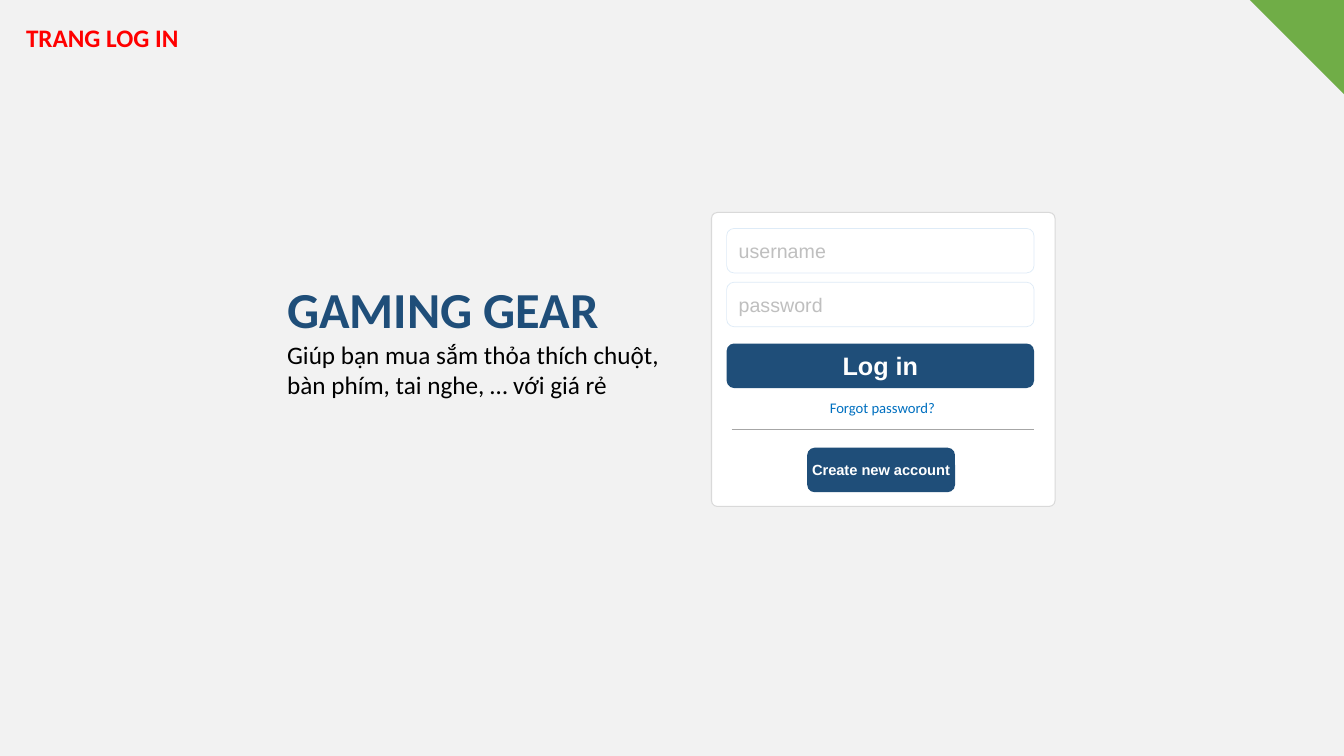
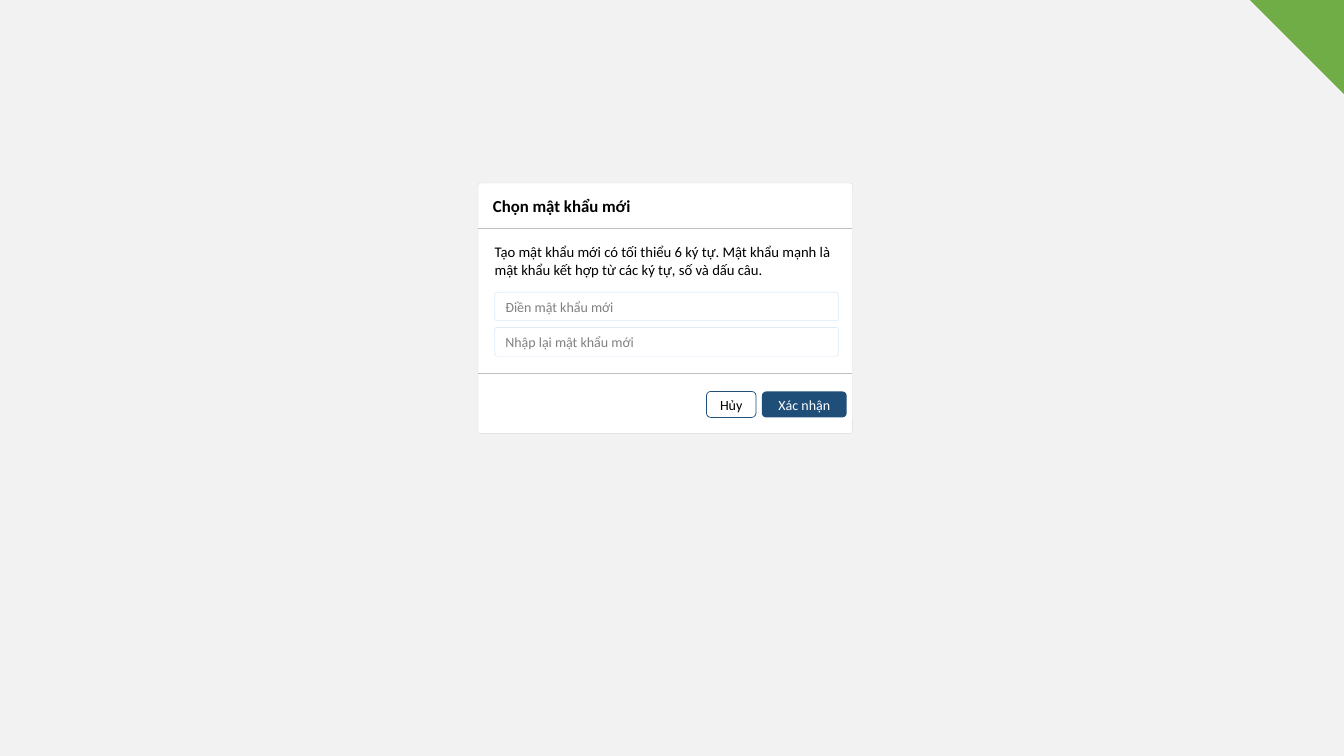
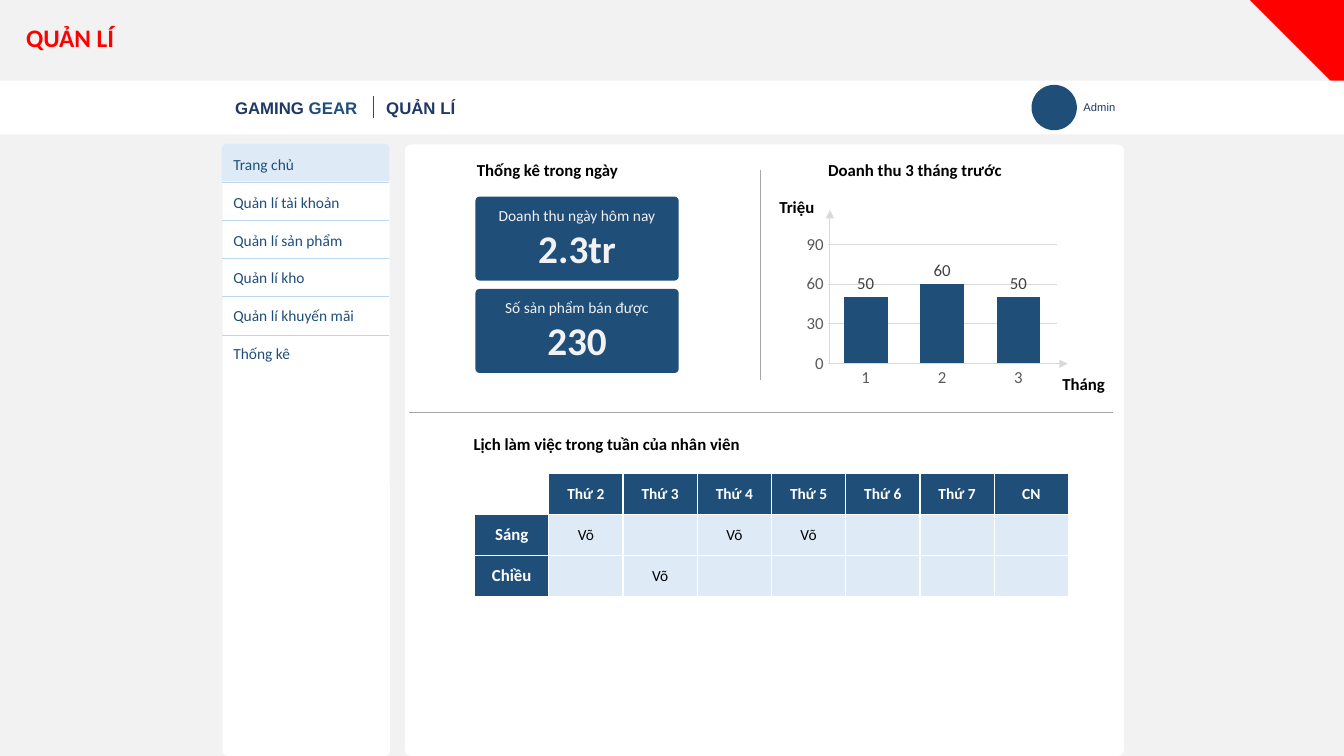
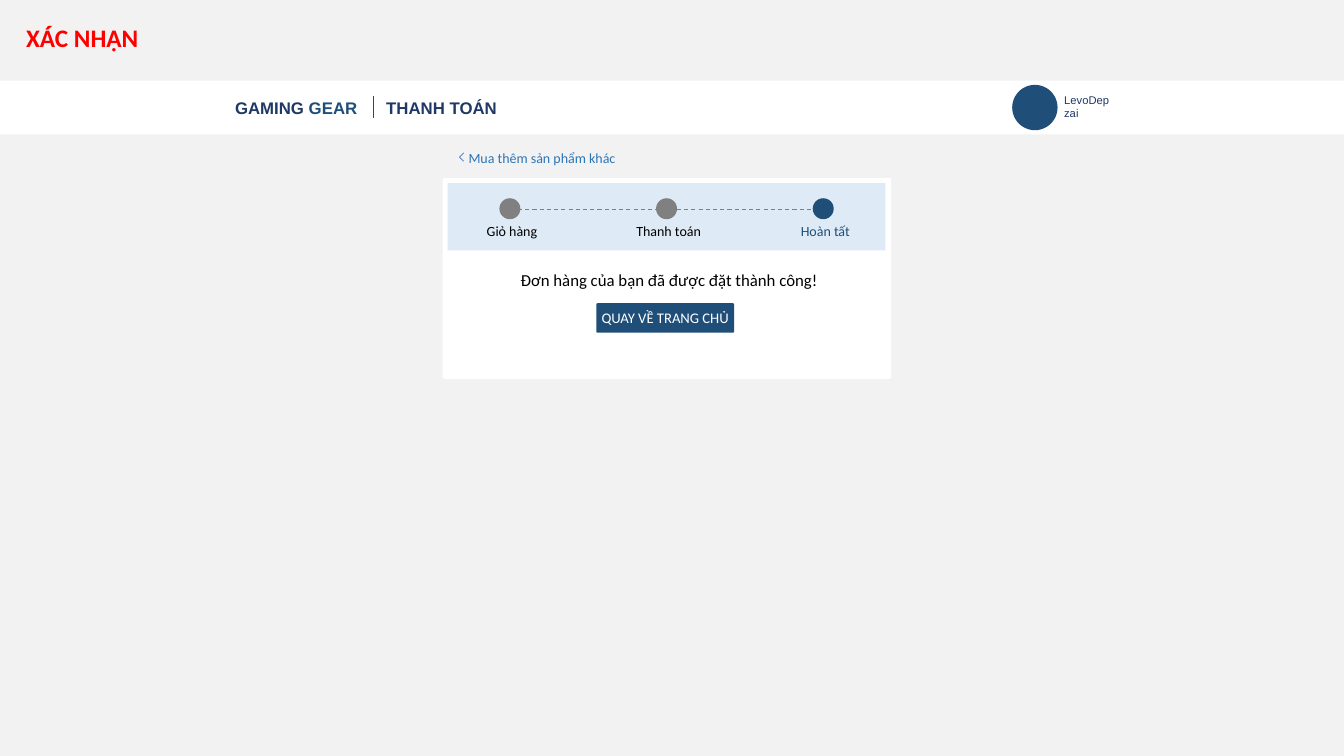
from lxml import etree
from pptx import Presentation, util as u
from pptx.chart.data import CategoryChartData
from pptx.dml.color import RGBColor
from pptx.enum import chart as ch, dml, shapes, text
from pptx.oxml import ns, parse_xml

NAVY = RGBColor(0x1F, 0x4E, 0x79)
INK = RGBColor(0x20, 0x38, 0x64)
PALE = RGBColor(0xDE, 0xEB, 0xF7)
SKY = RGBColor(0xBD, 0xD7, 0xEE)
LINK = RGBColor(0x00, 0x70, 0xC0)
BACK_LINK = RGBColor(0x2E, 0x75, 0xB6)
CHEVRON = RGBColor(0x44, 0x72, 0xC4)
GREEN = RGBColor(0x70, 0xAD, 0x47)
RED = RGBColor(0xFF, 0x00, 0x00)
BLACK = RGBColor(0x00, 0x00, 0x00)
WHITE = RGBColor(0xFF, 0xFF, 0xFF)
PAPER = RGBColor(0xF2, 0xF2, 0xF2)
GREY_D9 = RGBColor(0xD9, 0xD9, 0xD9)
GREY_BF = RGBColor(0xBF, 0xBF, 0xBF)
GREY_A6 = RGBColor(0xA6, 0xA6, 0xA6)
GREY_80 = RGBColor(0x80, 0x80, 0x80)
GREY_59 = RGBColor(0x59, 0x59, 0x59)
GREY_40 = RGBColor(0x40, 0x40, 0x40)

COLUMNS, ROWS = 160, 90
LEFT, CENTER = text.PP_ALIGN.LEFT, text.PP_ALIGN.CENTER
ROUND = shapes.MSO_SHAPE.ROUNDED_RECTANGLE
RECT = shapes.MSO_SHAPE.RECTANGLE
OVAL = shapes.MSO_SHAPE.OVAL


def style(font, size, color, bold=False, face="Calibri"):
    font.size, font.bold, font.name = u.Pt(size), bold, face
    font.color.rgb = color


class Deck:
    """Style and current slide; all lengths are cells of a 160 x 90 grid."""

    def __init__(self):
        self.prs = Presentation()
        self.prs.slide_width, self.prs.slide_height = u.Inches(13.33), u.Inches(7.5)
        fill = self.prs.slide_master.background.fill
        fill.solid()
        fill.fore_color.rgb = PAPER
        self.slide = None

    def grid(self, x, y, *size):
        """Turn alternating columns and rows into slide lengths."""
        units = (self.prs.slide_width / COLUMNS, self.prs.slide_height / ROWS)
        return [round(cells * units[i % 2]) for i, cells in enumerate((x, y, *size))]

    def new_slide(self, title=None, corner=None):
        self.slide = self.prs.slides.add_slide(self.prs.slide_layouts[5 if title else 6])
        if title:
            heading = self.slide.shapes.title
            heading.left, heading.top, heading.width, heading.height = self.grid(1.9, 2, 22, 4.8)
            self.fill_text(heading.text_frame, title, 18, RED, bold=True)
        if corner:
            self.shape(148.8, 0, 11.2, 11.2, corner, shapes.MSO_SHAPE.RIGHT_TRIANGLE).rotation = 180

    def fill_text(self, frame, words, size, color, bold=False, face="Calibri", align=LEFT):
        frame.text = words
        frame.word_wrap = True
        frame.auto_size = text.MSO_AUTO_SIZE.NONE
        frame.vertical_anchor = text.MSO_ANCHOR.MIDDLE
        for paragraph in frame.paragraphs:
            paragraph.alignment = align
            for run in paragraph.runs:
                style(run.font, size, color, bold, face)

    def text(self, x, y, w, h, words, size, color=BLACK, **look):
        box = self.slide.shapes.add_textbox(*self.grid(x, y, w, h))
        self.fill_text(box.text_frame, words, size, color, **look)
        return box.text_frame

    def shape(self, x, y, w, h, fill, kind=RECT, line=None, weight=0.5, radius=None):
        shape = self.slide.shapes.add_shape(kind, *self.grid(x, y, w, h))
        shape.shadow.inherit = False
        shape.fill.solid()
        shape.fill.fore_color.rgb = fill
        if line is None:
            shape.line.fill.background()
        else:
            shape.line.color.rgb, shape.line.width = line, u.Pt(weight)
        if radius is not None:
            shape.adjustments[0] = radius
        return shape

    def field(self, x, y, w, h, hint, size, color, face="Calibri", radius=None):
        box = self.shape(x, y, w, h, WHITE, ROUND, line=PALE, radius=radius)
        self.fill_text(box.text_frame, hint, size, color, face=face)

    def button(self, x, y, w, h, label, size, color=WHITE, fill=NAVY, radius=None, **look):
        box = self.shape(x, y, w, h, fill, ROUND, line=None if fill == NAVY else NAVY, radius=radius)
        box.text_frame.margin_left = box.text_frame.margin_right = 0
        self.fill_text(box.text_frame, label, size, color, align=CENTER, **look)
        return box.text_frame

    def metric(self, x, y, label, value):
        frame = self.button(x, y, 24.2, 10, f"{label}\n{value}", 11, PAPER, radius=0.05)
        style(frame.paragraphs[1].runs[0].font, 28, PAPER, True)

    def line(self, x1, y1, x2, y2, color, weight=0.5, dash=False, arrow=False):
        line = self.slide.shapes.add_connector(
            shapes.MSO_CONNECTOR.STRAIGHT, *self.grid(x1, y1, x2, y2))
        line.line.color.rgb, line.line.width = color, u.Pt(weight)
        if dash:
            line.line.dash_style = dml.MSO_LINE.DASH
        properties = line._element.spPr
        if arrow:
            etree.SubElement(properties.find(ns.qn("a:ln")), ns.qn("a:tailEnd"), type="triangle")
        etree.SubElement(properties, ns.qn("a:effectLst"))

    def app_bar(self, section, user, avatar_x):
        self.shape(0, 9.6, COLUMNS, 6.4, WHITE)
        brand = self.text(26.8, 11, 18, 3.6, "GAMING", 12, INK, bold=True, face="Arial")
        gear = brand.paragraphs[0].add_run()
        gear.text = " GEAR"
        style(gear.font, 12, NAVY, True, "Arial")
        self.line(44.4, 14, 44.4, 11.4, NAVY)
        self.text(44.8, 11, 17, 3.6, section, 12, INK, bold=True, face="Arial")
        self.shape(avatar_x, 10.1, 5.4, 5.4, NAVY, OVAL)
        self.text(avatar_x + 5, 10.5, 8, 4.4, user, 8, INK, face="Arial")

    def table(self, x, y, w, h, rows):
        """Table with navy row and column heads and an empty white corner."""
        table = self.slide.shapes.add_table(
            len(rows), len(rows[0]), *self.grid(x, y, w, h)).table
        table.horz_banding = False
        for r, row in enumerate(rows):
            for c, words in enumerate(row):
                head = r == 0 or c == 0
                cell = table.cell(r, c)
                cell.fill.solid()
                cell.fill.fore_color.rgb = WHITE if r == c == 0 else NAVY if head else PALE
                cell.vertical_anchor = text.MSO_ANCHOR.MIDDLE
                if words:
                    cell.text = words
                    paragraph = cell.text_frame.paragraphs[0]
                    paragraph.alignment = CENTER
                    style(paragraph.runs[0].font, 12 if c == 0 else 11,
                          WHITE if head else BLACK, head)

    def column_chart(self, x, y, w, h, values, top, step):
        data = CategoryChartData()
        data.categories = list(values)
        data.add_series("Series 1", list(values.values()))
        chart = self.slide.shapes.add_chart(
            ch.XL_CHART_TYPE.COLUMN_CLUSTERED, *self.grid(x, y, w, h), data).chart
        chart.has_legend = chart.has_title = False
        style(chart.font, 10, BLACK)
        for axis in (chart.category_axis, chart.value_axis):
            axis.major_tick_mark = axis.minor_tick_mark = ch.XL_TICK_MARK.NONE
            style(axis.tick_labels.font, 12, GREY_59)
        scale = chart.value_axis
        scale.minimum_scale, scale.maximum_scale, scale.major_unit = 0, top, step
        scale.format.line.fill.background()
        for line in (chart.category_axis.format.line, scale.major_gridlines.format.line):
            line.color.rgb, line.width = GREY_D9, u.Pt(0.75)
        plot = chart.plots[0]
        plot.gap_width, plot.vary_by_categories = 75, False
        bars = plot.series[0].format.fill
        bars.solid()
        bars.fore_color.rgb = NAVY
        plot.has_data_labels = True
        labels = plot.data_labels
        labels.show_value, labels.position = True, ch.XL_LABEL_POSITION.OUTSIDE_END
        style(labels.font, 12, GREY_40)
        area = chart._chartSpace.chart.plotArea
        for old in area.findall(ns.qn("c:layout")):
            area.remove(old)
        parts = "".join(f'<c:{tag} val="{val}"/>' for tag, val in (
            ("layoutTarget", "inner"), ("xMode", "edge"), ("yMode", "edge"),
            ("x", 0.15), ("y", 0.1), ("w", 0.8), ("h", 0.7)))
        area.insert(0, parse_xml(
            f'<c:layout {ns.nsdecls("c")}><c:manualLayout>{parts}</c:manualLayout></c:layout>'))


def log_in(deck):
    deck.new_slide("TRANG LOG IN", GREEN)
    deck.shape(84.7, 25.3, 40.9, 35, WHITE, ROUND, GREY_D9, 0.75, radius=0.02)
    for i, hint in enumerate(("username", "password")):
        deck.field(86.5, 27.2 + 6.4 * i, 36.6, 5.3, hint, 14, GREY_BF, face="Arial")
    deck.button(86.5, 40.9, 36.6, 5.3, "Log in", 18, bold=True, face="Arial")
    deck.text(97.6, 46.8, 17, 3.5, "Forgot password?", 10.5, LINK)
    deck.line(87.1, 51.1, 123.1, 51.1, GREY_A6)
    deck.button(96.1, 53.3, 17.6, 5.3, "Create new account", 10.5, bold=True, face="Arial")
    deck.text(33, 32.5, 41, 8.5, "GAMING GEAR", 36, NAVY, bold=True)
    deck.text(33, 39.7, 47.8, 8.5,
              "Giúp bạn mua sắm thỏa thích chuột, bàn phím, tai nghe, … với giá rẻ", 18)


def new_password(deck):
    deck.new_slide(corner=GREEN)
    deck.shape(56.9, 21.8, 44.6, 29.8, WHITE, ROUND, GREY_D9, 0.25, radius=0.01)
    deck.text(57.5, 22.7, 20, 3.6, "Chọn mật khẩu mới", 12, bold=True)
    for y in (27.2, 44.5):
        deck.line(56.9, y, 101.4, y, GREY_BF)
    deck.text(57.7, 28.3, 42.8, 5.4,
              "Tạo mật khẩu mới có tối thiểu 6 ký tự. Mật khẩu mạnh là mật khẩu "
              "kết hợp từ các ký tự, số và dấu câu.", 10.5)
    for i, hint in enumerate(("Điền mật khẩu mới", "Nhập lại mật khẩu mới")):
        deck.field(58.9, 34.8 + 4.2 * i, 40.9, 3.4, hint, 10, GREY_80, radius=0.08)
    deck.button(84.1, 46.6, 5.9, 3.1, "Hủy", 10, BLACK, WHITE)
    deck.button(90.7, 46.6, 10.1, 3.1, "Xác nhận", 10)


def management(deck):
    deck.new_slide("QUẢN LÍ", RED)
    deck.app_bar("QUẢN LÍ", "Admin", 122.8)

    deck.shape(26.5, 17.2, 19.9, 72.8, WHITE, ROUND, radius=0.03)
    deck.shape(26.4, 17.1, 20, 4.5, PALE, shapes.MSO_SHAPE.ROUND_2_SAME_RECTANGLE, radius=0.14)
    menu = ("Trang chủ", "Quản lí tài khoản", "Quản lí sản phẩm",
            "Quản lí kho", "Quản lí khuyến mãi", "Thống kê")
    for i, entry in enumerate(menu):
        deck.text(26.6, 17.8 + 4.5 * i, 18, 3.5, entry, 11, NAVY)
        if i:
            y = 17.1 + 4.55 * i
            deck.line(26.4, y, 46.3, y, SKY, 0.25)

    deck.shape(48.2, 17.2, 85.6, 72.8, WHITE, ROUND, radius=0.01)
    for x, y, w, heading in ((55.6, 18.4, 28.4, "Thống kê trong ngày"),
                             (97.4, 18.4, 32.6, "Doanh thu 3 tháng trước"),
                             (55.2, 51, 48.7, "Lịch làm việc trong tuần của nhân viên"),
                             (125.3, 43.9, 8.4, "Tháng"),
                             (91.6, 22.8, 8.4, "Triệu")):
        deck.text(x, y, w, 3.6, heading, 12, bold=True)
    deck.line(48.7, 49.1, 132.5, 49.1, GREY_A6)
    deck.line(90.5, 20.2, 90.5, 45.2, GREY_A6)
    deck.metric(56.6, 23.4, "Doanh thu ngày hôm nay", "2.3tr")
    deck.metric(56.6, 34.4, "Số sản phẩm bán được", "230")

    deck.column_chart(93.4, 27.1, 34.1, 20.2, {"1": 50, "2": 60, "3": 50}, top=90, step=30)
    deck.line(121.3, 43.3, 127.1, 43.3, GREY_D9, 0.75, arrow=True)
    deck.line(98.8, 43.2, 98.8, 25, GREY_D9, 0.75, arrow=True)
    deck.table(56.5, 56.4, 70.7, 14.6, (
        ("", "Thứ 2", "Thứ 3", "Thứ 4", "Thứ 5", "Thứ 6", "Thứ 7", "CN"),
        ("Sáng", "Võ", "", "Võ", "Võ", "", "", ""),
        ("Chiều", "", "Võ", "", "", "", "", "")))


def confirmation(deck):
    deck.new_slide("XÁC NHẬN")
    deck.app_bar("THANH TOÁN", "LevoDepzai", 120.5)
    for y in (18.2, 19.2):
        deck.line(54.7, 18.7, 55.2, y, CHEVRON)
    deck.text(54.6, 17.2, 21, 3.2, "Mua thêm sản phẩm khác", 10, BACK_LINK)
    deck.shape(52.7, 21.2, 53.4, 23.9, WHITE, ROUND, radius=0.01)
    deck.shape(53.3, 21.8, 52.1, 8, PALE)
    deck.line(60.8, 24.9, 97.8, 24.9, GREY_80, 0.75, dash=True)
    steps = (("Giỏ hàng", GREY_80, BLACK), ("Thanh toán", GREY_80, BLACK),
             ("Hoàn tất", NAVY, NAVY))
    for i, (step, dot, color) in enumerate(steps):
        middle = 60.7 + 18.65 * i
        deck.shape(middle - 1.25, 23.6, 2.5, 2.5, dot, OVAL)
        deck.text(middle - 5, 25.9, 10.5, 3.2, step, 10, color, align=CENTER)
    deck.text(60.8, 31.5, 39, 3.6, "Đơn hàng của bạn đã được đặt thành công!", 12)
    deck.button(71, 36.1, 16.4, 3.5, "QUAY VỀ TRANG CHỦ", 10.5, radius=0.04)


def main():
    deck = Deck()
    for build in (log_in, new_password, management, confirmation):
        build(deck)
    deck.prs.save("out.pptx")


if __name__ == "__main__":
    main()
